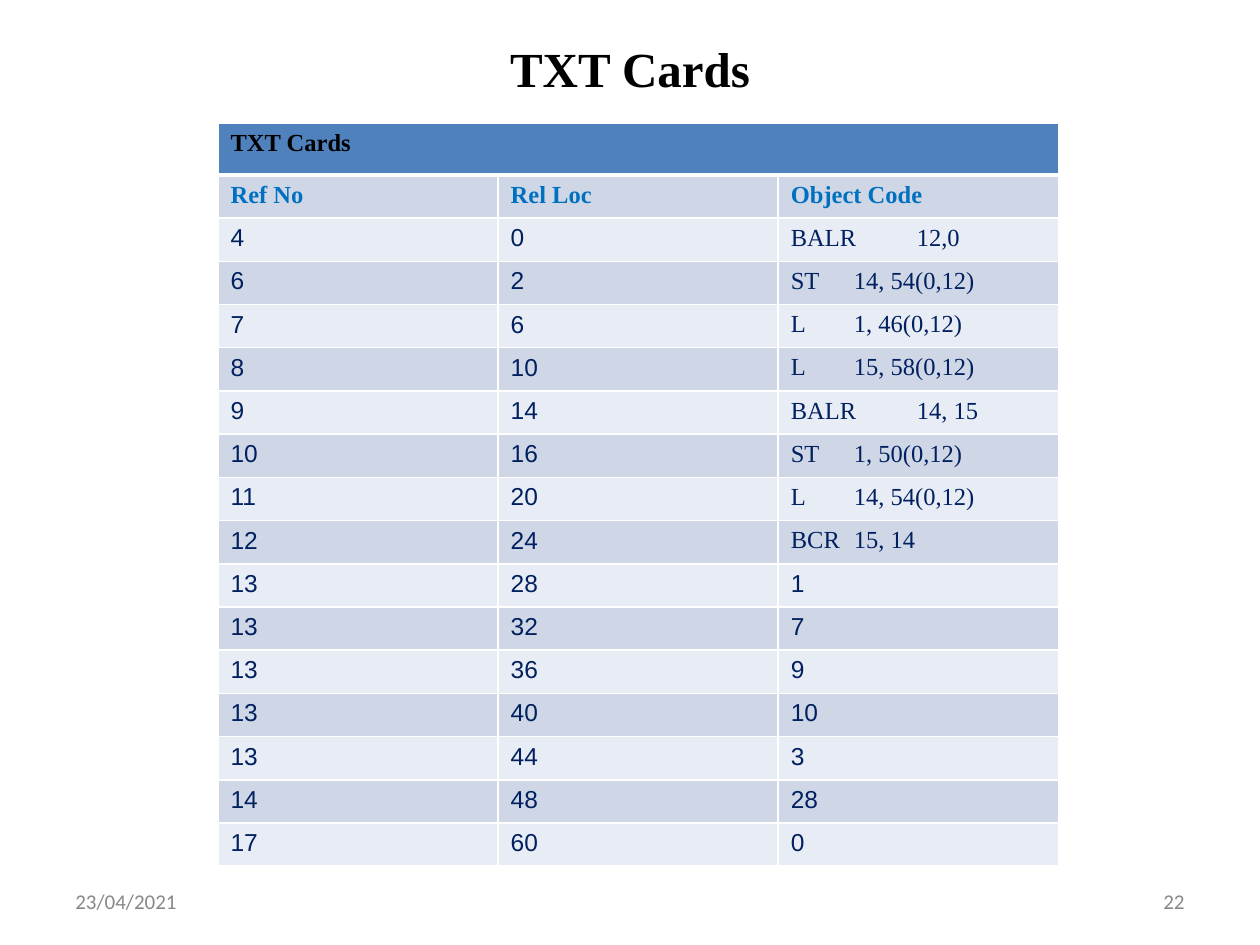
from lxml.etree import SubElement
from pptx import Presentation
from pptx.dml.color import RGBColor
from pptx.enum.text import MSO_ANCHOR, PP_ALIGN
from pptx.oxml.ns import qn
from pptx.util import Inches, Pt

WIDTH, HEIGHT = Inches(10), Inches(7.5)
SERIF, SANS = "Times New Roman", "Arial"
TITLE = {"name": SERIF, "size": Pt(28), "bold": True, "color": "000000"}
FOOTER = {"name": "Calibri", "size": Pt(12), "bold": False, "color": "888888"}
BANNER = {**TITLE, "size": Pt(14)}
HEADING = {**BANNER, "color": "0070C0"}
NUMBER = {"name": SANS, "size": Pt(14), "bold": False, "color": "002060"}
INSTRUCTION = {**NUMBER, "name": SERIF}
BANNER_FILL, BAND_FILLS = "4F81BD", ("CFD7E7", "E8ECF4")

HEADINGS = ("Ref No", "Rel Loc", "Object Code")
CARDS = (
    (4, 0, "BALR \t12,0"),
    (6, 2, "ST \t14, 54(0,12)"),
    (7, 6, "L\t1, 46(0,12)"),
    (8, 10, "L\t15, 58(0,12)"),
    (9, 14, "BALR \t14, 15"),
    (10, 16, "ST \t1, 50(0,12)"),
    (11, 20, "L\t14, 54(0,12)"),
    (12, 24, "BCR \t15, 14"),
    (13, 28, 1),
    (13, 32, 7),
    (13, 36, 9),
    (13, 40, 10),
    (13, 44, 3),
    (14, 48, 28),
    (17, 60, 0),
)


def rgb(value):
    return RGBColor.from_string(value)


def slide_box(left, top, width, height):
    return (round(WIDTH * left), round(HEIGHT * top),
            round(WIDTH * width), round(HEIGHT * height))


def write(frame, words, style, align=PP_ALIGN.LEFT):
    paragraph = frame.paragraphs[0]
    paragraph.alignment = align
    run = paragraph.add_run()
    run.text = str(words)
    for attribute, value in style.items():
        if attribute == "color":
            run.font.color.rgb = rgb(value)
        else:
            setattr(run.font, attribute, value)


def add_label(slide, box, words, style, align):
    frame = slide.shapes.add_textbox(*box).text_frame
    frame.word_wrap = True
    frame.vertical_anchor = MSO_ANCHOR.MIDDLE
    write(frame, words, style, align)


def add_footer(slide, box, date, number):
    left, top, width, height = box
    part = round(width * 0.26)
    add_label(slide, (left, top, part, height), date, FOOTER, PP_ALIGN.LEFT)
    add_label(slide, (left + width - part, top, part, height),
              number, FOOTER, PP_ALIGN.RIGHT)


def format_cell(cell, fill, top=1, bottom=1):
    properties = cell._tc.get_or_add_tcPr()
    for side, points in {"L": 1, "R": 1, "T": top, "B": bottom}.items():
        border = SubElement(properties, qn(f"a:ln{side}"), w=str(Pt(points)))
        SubElement(SubElement(border, qn("a:solidFill")),
                   qn("a:srgbClr"), val="FFFFFF")
    cell.fill.solid()
    cell.fill.fore_color.rgb = rgb(fill)


def card_style(value):
    return INSTRUCTION if isinstance(value, str) else NUMBER


def add_cards(slide, box, banner):
    lines = (HEADINGS, *CARDS)
    columns = len(HEADINGS)
    table = slide.shapes.add_table(len(lines) + 1, columns, *box).table
    table.first_row = table.horz_banding = False
    banner_height = round(box[3] * 0.07)
    for row in table.rows:
        row.height = (box[3] - banner_height) // len(lines)
    table.rows[0].height = banner_height

    for column in range(columns):
        format_cell(table.cell(0, column), BANNER_FILL, bottom=3)
    table.cell(0, 0).merge(table.cell(0, columns - 1))
    write(table.cell(0, 0).text_frame, banner, BANNER)

    for index, line in enumerate(lines):
        for column, value in enumerate(line):
            cell = table.cell(index + 1, column)
            format_cell(cell, BAND_FILLS[index % 2], top=1 if index else 3)
            write(cell.text_frame, value,
                  card_style(value) if index else HEADING)


def main():
    deck = Presentation()
    deck.slide_width, deck.slide_height = WIDTH, HEIGHT
    slide = deck.slides.add_slide(deck.slide_layouts[6])
    add_label(slide, slide_box(0.075, 0.033, 0.85, 0.078),
              "TXT Cards", TITLE, PP_ALIGN.CENTER)
    add_footer(slide, slide_box(0.05, 0.927, 0.9, 0.053), "23/04/2021", 22)
    add_cards(slide, slide_box(0.173, 0.13, 0.667, 0.787), "TXT Cards")
    deck.save("out.pptx")


if __name__ == "__main__":
    main()
